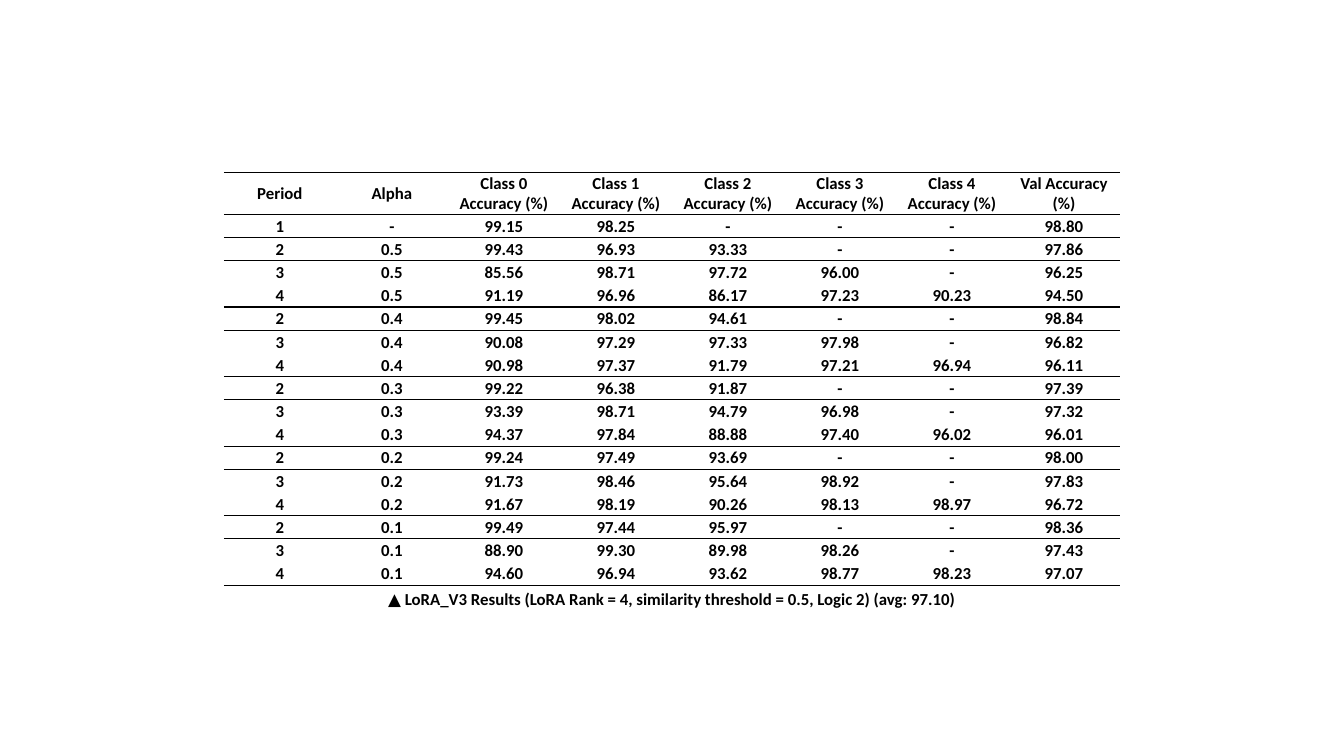
from lxml.etree import SubElement
from pptx import Presentation
from pptx.dml.color import RGBColor
from pptx.enum.text import MSO_ANCHOR as Anchor, MSO_AUTO_SIZE as AutoSize, PP_ALIGN as Align
from pptx.oxml.ns import qn
from pptx.util import Inches, Pt

BLACK = RGBColor(0, 0, 0)
NO_GRID_STYLE = "{2D5ABB26-0587-4C30-8999-92F81FD0307C}"
HEADINGS = ["Period", "Alpha", *(f"Class {n} Accuracy (%)" for n in range(5)), "Val Accuracy\n(%)"]
RESULTS = """
1 - 99.15 98.25 - - - 98.80
2 0.5 99.43 96.93 93.33 - - 97.86
3 0.5 85.56 98.71 97.72 96.00 - 96.25
4 0.5 91.19 96.96 86.17 97.23 90.23 94.50
2 0.4 99.45 98.02 94.61 - - 98.84
3 0.4 90.08 97.29 97.33 97.98 - 96.82
4 0.4 90.98 97.37 91.79 97.21 96.94 96.11
2 0.3 99.22 96.38 91.87 - - 97.39
3 0.3 93.39 98.71 94.79 96.98 - 97.32
4 0.3 94.37 97.84 88.88 97.40 96.02 96.01
2 0.2 99.24 97.49 93.69 - - 98.00
3 0.2 91.73 98.46 95.64 98.92 - 97.83
4 0.2 91.67 98.19 90.26 98.13 98.97 96.72
2 0.1 99.49 97.44 95.97 - - 98.36
3 0.1 88.90 99.30 89.98 98.26 - 97.43
4 0.1 94.60 96.94 93.62 98.77 98.23 97.07
"""


def style_paragraph(paragraph):
    paragraph.alignment = Align.CENTER
    font = paragraph.font
    font.name, font.size, font.bold = "Calibri", Pt(12), True
    font.color.rgb = BLACK


def add_rule(cell, edge):
    rule = SubElement(cell._tc.get_or_add_tcPr(), qn(f"a:{edge}"), w=str(Pt(1)))
    fill = SubElement(rule, qn("a:solidFill"))
    SubElement(fill, qn("a:srgbClr"), val=str(BLACK))


def fill_cell(cell, text, edges):
    cell.text = text
    cell.vertical_anchor = Anchor.MIDDLE
    cell.margin_left = cell.margin_right = cell.margin_top = Inches(0.01)
    cell.margin_bottom = 0
    for paragraph in cell.text_frame.paragraphs:
        style_paragraph(paragraph)
    for edge in edges:
        add_rule(cell, edge)
    cell.fill.background()


def add_results(slide, left, top, width, height):
    lines = [HEADINGS, *(line.split() for line in RESULTS.strip().splitlines())]
    frame = slide.shapes.add_table(len(lines), len(HEADINGS), left, top, width, height)
    results = frame.table
    results.first_row = results.horz_banding = False
    results._tbl.tblPr.find(qn("a:tableStyleId")).text = NO_GRID_STYLE
    for row, line in zip(results.rows, lines):
        row.height = Inches(0.23)
        if line is HEADINGS or line[0] == "2":
            edges = ["lnT", "lnB"]
        else:
            edges = ["lnB"] if line is lines[-1] else []
        for cell, text in zip(row.cells, line):
            fill_cell(cell, text, edges)
    frame.height = height


def add_caption(slide, left, top, width, height):
    frame = slide.shapes.add_textbox(left, top, width, height).text_frame
    frame.word_wrap = True
    frame.auto_size = AutoSize.SHAPE_TO_FIT_TEXT
    caption = frame.paragraphs[0]
    style_paragraph(caption)
    marker = caption.add_run()
    marker.text = "▲"
    marker.font.name = "Lato"
    caption.add_run().text = (
        " LoRA_V3 Results (LoRA Rank = 4, similarity threshold = 0.5, Logic 2) (avg: 97.10)"
    )


def main():
    deck = Presentation()
    deck.slide_width, deck.slide_height = Inches(13.33), Inches(7.5)
    slide = deck.slides.add_slide(deck.slide_layouts[6])
    add_results(slide, Inches(2.22), Inches(1.71), Inches(8.89), Inches(4.08))
    add_caption(slide, Inches(3.33), Inches(5.79), Inches(6.67), Inches(0.3))
    deck.save("out.pptx")


if __name__ == "__main__":
    main()
